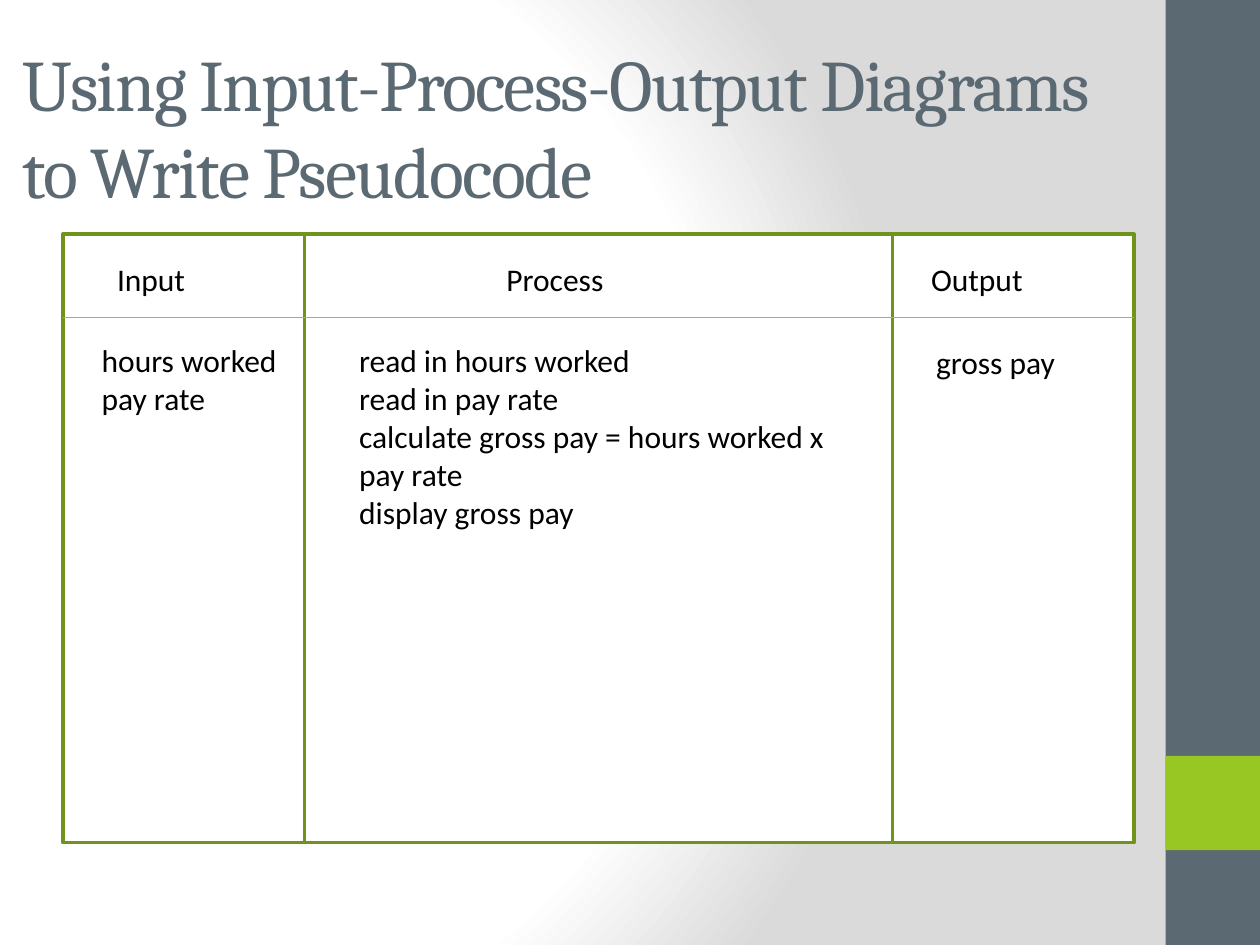
from lxml import etree
from pptx import Presentation, util as u
from pptx.dml.color import RGBColor
from pptx.enum import shapes, text
from pptx.oxml.ns import qn

COLORS = {
    "slate": "5B6973",
    "lime": "98C723",
    "rule": "96C71E",
    "border": "70931A",
    "white": "FFFFFF",
    "gray": "DADADA",
    "black": "000000",
}


class Deck:
    """Style and current slide, with a method for each kind of element."""

    def __init__(self, width, height):
        self.deck = Presentation()
        self.deck.slide_width, self.deck.slide_height = u.Cm(width), u.Cm(height)
        self.slide = self.deck.slides.add_slide(self.deck.slide_layouts[6])

    def color(self, name):
        return RGBColor.from_string(COLORS[name])

    def background(self, stops, focus):
        fill = self.slide.background.fill
        fill.gradient()
        gradient = self.slide.element.find(".//" + qn("a:gradFill"))
        for child in list(gradient):
            gradient.remove(child)
        stop_list = etree.SubElement(gradient, qn("a:gsLst"))
        for percent, name in stops:
            stop = etree.SubElement(stop_list, qn("a:gs"), pos=str(percent * 1000))
            etree.SubElement(stop, qn("a:srgbClr"), val=COLORS[name])
        circle = etree.SubElement(gradient, qn("a:path"), {"path": "circle"})
        edges = {side: str(percent * 1000) for side, percent in zip("ltrb", focus)}
        etree.SubElement(circle, qn("a:fillToRect"), edges)

    def block(self, left, top, width, height, fill, border=None):
        block = self.slide.shapes.add_shape(
            shapes.MSO_SHAPE.RECTANGLE, *map(u.Cm, (left, top, width, height)))
        block.shadow.inherit = False
        block.fill.solid()
        block.fill.fore_color.rgb = self.color(fill)
        if border:
            block.line.color.rgb = self.color(border)
            block.line.width = u.Pt(2)
        else:
            block.line.fill.background()

    def rule(self, left, right, y, color):
        rule = self.slide.shapes.add_connector(
            shapes.MSO_CONNECTOR.STRAIGHT, *map(u.Cm, (left, y, right, y)))
        rule.line.color.rgb = self.color(color)
        rule.line.width = u.Pt(1)
        etree.SubElement(rule.element.spPr, qn("a:effectLst"))

    def text(self, wording, left, top, width, height, *, size=18, font="Calibri",
             color="black", wrap=False, anchor=text.MSO_ANCHOR.TOP, spacing=0):
        box = self.slide.shapes.add_textbox(*map(u.Cm, (left, top, width, height)))
        frame = box.text_frame
        frame.word_wrap = wrap
        frame.vertical_anchor = anchor
        frame.text = wording
        for paragraph in frame.paragraphs:
            for run in paragraph.runs:
                run.font.size = u.Pt(size)
                run.font.name = font
                run.font.color.rgb = self.color(color)
                if spacing:
                    run.font._element.set("spc", str(spacing * 100))


def main():
    deck = Deck(25.4, 19.05)
    deck.background([(0, "white"), (75, "white"), (100, "gray")], (20, 50, 100, 50))
    deck.block(23.5, 0, 1.9, 19.05, "slate")
    deck.block(23.5, 15.24, 1.9, 1.9, "lime")
    deck.text("Using Input-Process-Output Diagrams to Write Pseudocode",
              0.2, 1.27, 22.86, 2.54, size=41.4, font="Cambria", color="slate",
              wrap=True, anchor=text.MSO_ANCHOR.MIDDLE, spacing=-1)

    table_left, table_top, table_height = 1.27, 4.72, 12.27
    column_left = table_left
    for column_width in (4.87, 11.85, 4.87):
        deck.block(column_left, table_top, column_width, table_height, "white", "border")
        column_left += column_width
    for heading, left, width in (("Input", 2.11, 1.9), ("Process", 9.96, 2.64),
                                 ("Output", 18.52, 2.39)):
        deck.text(heading, left, 5.11, width, 1.02)
    deck.rule(table_left, column_left, 6.4, "rule")

    deck.text("hours worked\npay rate", 1.8, 6.76, 4.09, 1.8)
    deck.text("read in hours worked\nread in pay rate\n"
              "calculate gross pay = hours worked x pay rate\ndisplay gross pay",
              6.99, 6.76, 10.59, 4.11, wrap=True)
    deck.text("gross pay", 18.62, 6.79, 2.95, 1.02)
    deck.deck.save("out.pptx")


if __name__ == "__main__":
    main()
